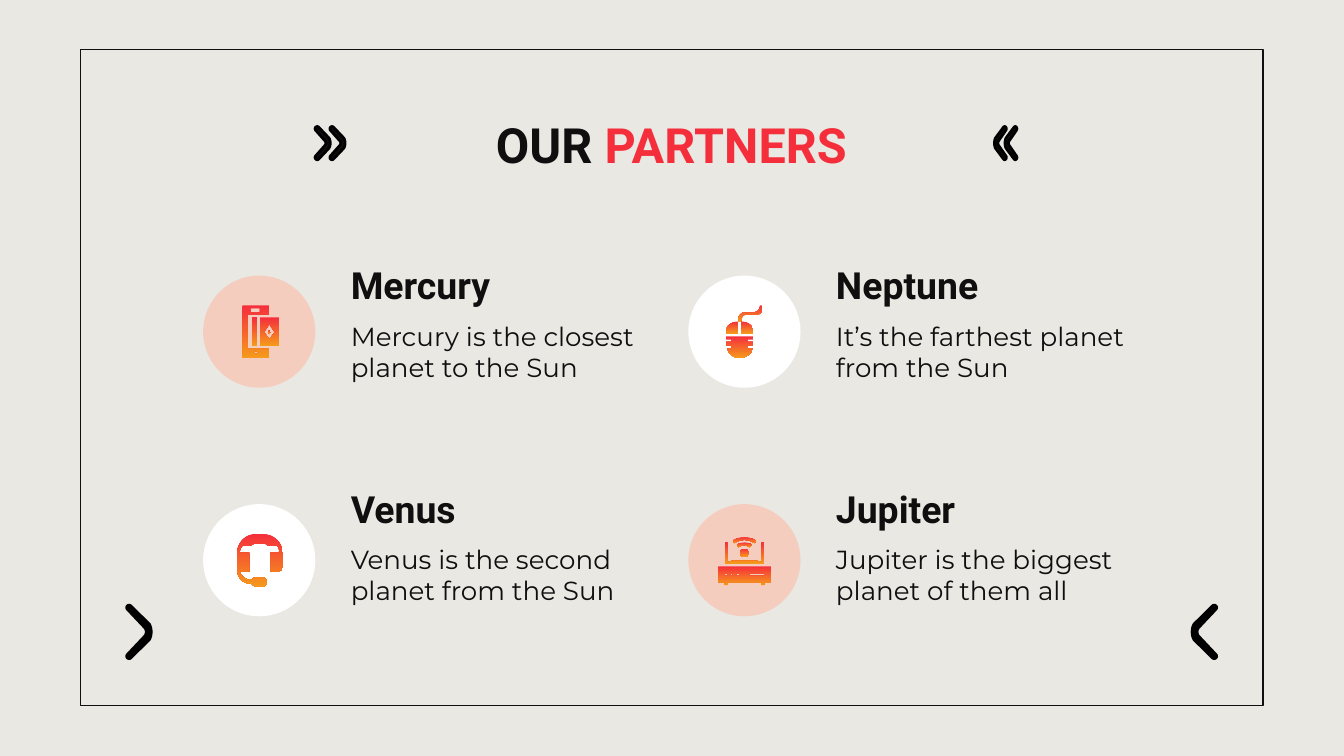
from dataclasses import dataclass

from pptx import Presentation
from pptx.dml.color import RGBColor as RGB
from pptx.enum.shapes import MSO_SHAPE as SHAPE
from pptx.enum.text import MSO_ANCHOR as ANCHOR, PP_ALIGN as ALIGN
from pptx.util import Cm, Pt


@dataclass(frozen=True)
class Theme:
    """Colours, fonts and type sizes of the slide."""
    paper: RGB = RGB(0xE9, 0xE8, 0xE3)
    ink: RGB = RGB(0x10, 0x0E, 0x0E)
    black: RGB = RGB(0, 0, 0)
    white: RGB = RGB(255, 255, 255)
    blush: RGB = RGB(0xF5, 0xCD, 0xBF)
    red: RGB = RGB(0xF5, 0x2E, 0x3C)
    amber: RGB = RGB(0xF5, 0x9A, 0x1B)
    head: str = "Roboto"
    body: str = "Montserrat"
    title: Pt = Pt(26)
    name: Pt = Pt(20)
    note: Pt = Pt(14)


THEME = Theme()
GRID = (83, 83)


def block(left, top, right, base):
    """Return the loop of a rectangle."""
    return [(left, top), (right, top), (right, base), (left, base)]


CHEVRON = [
    (6, 42), (20, 28), (24, 21.5, 20, 15), (6, 1), (4, -1, 2, 1), (0, 3, 2, 5),
    (15, 19), (17, 21.5, 15, 24), (2, 38), (0, 40, 2, 42), (4, 44, 6, 42)]

PHONE = [
    [[(29, 22), (29, 61), (49, 61), (49, 54), (33, 54), (33, 29), (49, 29),
      (49, 22)], block(35, 24, 42, 27), block(38, 56, 40, 58)],
    [block(36, 31, 40, 52)],
    [[(49, 40), (48, 42), (49, 43), (50, 42)]],
    [block(42, 31, 56, 52), [(49, 36), (53, 42), (49, 47), (45, 42)]]]

MOUSE = [
    [[(53, 22), (53, 27, 49, 27), (43, 27), (37, 27, 37, 32), (37, 34),
      (39, 34), (39, 29, 42, 29), (50, 29), (55, 29, 55, 24), (55, 22)]],
    [[(39, 34), (39, 43), (48, 43), (48, 41), (48, 34, 39, 34)]],
    [[(37, 34), (37, 43), (28, 43), (28, 41), (28, 34, 37, 34)]],
    [[(28, 45), (28, 47), (32, 47), (32, 49), (28, 49), (28, 52), (32, 52),
      (32, 54), (29, 54), (30, 61, 38, 61), (46, 61, 48, 54), (44, 54),
      (44, 52), (48, 52), (48, 49), (44, 49), (44, 47), (48, 47), (48, 45)]]]

HEADSET = [
    [[(39, 22), (25, 22, 25, 37), (25, 48), (25, 59, 35, 59), (36, 59),
      (37, 61, 40, 61), (44, 61), (47, 61, 47, 58), (47, 54, 44, 54),
      (40, 54), (37, 54, 36, 56), (35, 56), (28, 56, 27, 49), (28, 50),
      (34, 50), (34, 36), (27, 36), (27, 33, 29, 31), (32, 31), (35, 31),
      (37, 29, 40, 29), (44, 29), (47, 29, 48, 31), (51, 31), (55, 31),
      (57, 33, 56, 36), (50, 36), (50, 50), (55, 50), (59, 50, 59, 46),
      (59, 37), (59, 22, 44, 22)]]]

ROUTER = [
    [[(33, 27), (41.5, 21, 50, 27), (49, 29), (41.5, 23, 34, 29)]],
    [[(36, 30), (41.5, 26, 47, 30), (45, 32), (41.5, 28, 37, 32)]],
    [[(41.5, 33), (45, 33, 45, 36), (45, 39, 41.5, 39), (38, 39, 38, 36),
      (38, 33, 41.5, 33)]],
    [[(22, 46), (61, 46), (61, 58), (56, 58), (56, 60), (54, 60), (54, 58),
      (29, 58), (29, 60), (27, 60), (27, 58), (22, 58)],
     *[block(left, 51, right, 53)
       for left, right in ((27, 29), (31, 33), (36, 38), (45, 56))]],
    [[(27, 28), (27, 44), (56, 44), (56, 28), (54, 28), (54, 43),
      (51, 42), (32, 42), (29, 43), (29, 28)]]]

CARDS = [
    ("Mercury", "Mercury is the closest planet to the Sun", PHONE, THEME.blush),
    ("Neptune", "It’s the farthest planet from the Sun", MOUSE, THEME.white),
    ("Venus", "Venus is the second planet from the Sun", HEADSET, THEME.white),
    ("Jupiter", "Jupiter is the biggest planet of them all", ROUTER, THEME.blush)]


def smooth(loop, steps=8):
    """Turn each four-number item of a loop into points on a round bend."""
    spots = []
    for item in loop:
        if len(item) == 2:
            spots.append(item)
            continue
        first, mid, last = spots[-1], item[:2], item[2:]
        for step in range(1, steps + 1):
            t = step / steps
            load = ((1 - t) ** 2, 1.41 * t * (1 - t), t ** 2)
            spots.append(tuple(
                sum(k * v for k, v in zip(load, axis)) / sum(load)
                for axis in zip(first, mid, last)))
    return spots


def trace(slide, box, grid, loops):
    """Draw loops, given in grid units, as one outline scaled to the box."""
    left, top, wide, high = box
    pen = None
    for loop in loops:
        spots = [(left + x * wide / grid[0], top + y * high / grid[1])
                 for x, y in smooth(loop)]
        if pen is None:
            pen = slide.shapes.build_freeform(*spots[0])
        else:
            pen.move_to(*spots[0])
        pen.add_line_segments(spots[1:], close=True)
    shape = pen.convert_to_shape()
    shape.shadow.inherit = False
    shape.line.fill.background()
    return shape


def chevron(slide, box, tint, edge=None):
    """Draw a chevron; a negative width makes it point left."""
    mark = trace(slide, box, (23, 43), [CHEVRON])
    mark.fill.solid()
    mark.fill.fore_color.rgb = tint
    if edge:
        mark.line.color.rgb = THEME.black
        mark.line.width = edge


def icon(slide, box, parts):
    """Draw the parts of an icon with a red to amber gradient."""
    for loops in parts:
        fill = trace(slide, box, GRID, loops).fill
        fill.gradient()
        fill.gradient_angle = 270
        for stop, tint in zip(fill.gradient_stops, (THEME.red, THEME.amber)):
            stop.color.rgb = tint


def style(run, face, size, tint=THEME.ink, bold=False):
    """Set the font of a run."""
    font = run.font
    font.name, font.size, font.bold = face, size, bold
    font.color.rgb = tint


def label(slide, box, text, face, size, bold=False):
    """Add a wrapped, middle-anchored text and return its paragraph."""
    frame = slide.shapes.add_textbox(*box).text_frame
    frame.word_wrap = True
    frame.vertical_anchor = ANCHOR.MIDDLE
    frame.margin_left = frame.margin_right = Cm(0.25)
    frame.margin_top = frame.margin_bottom = Cm(0.25)
    frame.text = text
    para = frame.paragraphs[0]
    style(para.runs[0], face, size, bold=bold)
    return para


def border(slide, box):
    """Draw the thin frame and the chevrons in its lower corners."""
    left, top, wide, high = box
    frame = slide.shapes.add_shape(SHAPE.RECTANGLE, *box)
    frame.shadow.inherit = False
    frame.fill.background()
    frame.line.color.rgb = THEME.ink
    frame.line.width = Pt(0.75)
    row, inset = top + high - Cm(1.93), Cm(0.82)
    size = Cm(0.58), Cm(1.07)
    chevron(slide, (left + inset, row, *size), THEME.black)
    chevron(slide, (left + wide - inset, row, -size[0], size[1]), THEME.black)


def banner(slide, box):
    """Place the two-colour title between pairs of chevrons."""
    left, top, wide, _ = box
    para = label(slide, box, "OUR ", THEME.head, THEME.title, True)
    para.alignment = ALIGN.CENTER
    run = para.add_run()
    run.text = "PARTNERS"
    style(run, THEME.head, THEME.title, THEME.red, True)
    row, high, edge = top + Cm(0.46), Cm(0.63), Pt(1.5)
    for shift in (Cm(-0.59), Cm(-0.31)):
        chevron(slide, (left + shift, row, Cm(0.32), high), THEME.ink, edge)
    for shift in (Cm(0.18), Cm(0.38)):
        spot = left + wide + shift
        chevron(slide, (spot, row, Cm(-0.25), high), THEME.ink, edge)


def card(slide, box, drop, name, note, parts, tint):
    """Place a disc with its icon beside a heading and a note."""
    left, top, wide, high = box
    side, gap, head = Cm(2.12), Cm(2.54), Cm(1.32)
    spot = (left, top + drop, side, side)
    disc = slide.shapes.add_shape(SHAPE.OVAL, *spot)
    disc.shadow.inherit = False
    disc.fill.solid()
    disc.fill.fore_color.rgb = tint
    disc.line.fill.background()
    icon(slide, spot, parts)
    label(slide, (left + gap, top, Cm(5.51), Cm(1.47)), name,
          THEME.head, THEME.name, True)
    label(slide, (left + gap, top + head, wide - gap, high - head), note,
          THEME.body, THEME.note)


def main():
    """Build and save the slide."""
    deck = Presentation()
    deck.slide_width, deck.slide_height = Cm(25.4), Cm(14.29)
    slide = deck.slides.add_slide(deck.slide_layouts[6])
    back = slide.background.fill
    back.solid()
    back.fore_color.rgb = THEME.paper
    border(slide, (Cm(1.52), Cm(0.94), Cm(22.35), Cm(12.4)))
    banner(slide, (Cm(6.53), Cm(1.93), Cm(12.32), Cm(1.6)))
    for index, data in enumerate(CARDS):
        row, col = divmod(index, 2)
        box = (Cm(3.84 + 9.17 * col), Cm(4.65 + 4.22 * row), Cm(8.76), Cm(2.67))
        card(slide, box, Cm(0.56 + 0.1 * row), *data)
    deck.save("out.pptx")


if __name__ == "__main__":
    main()
